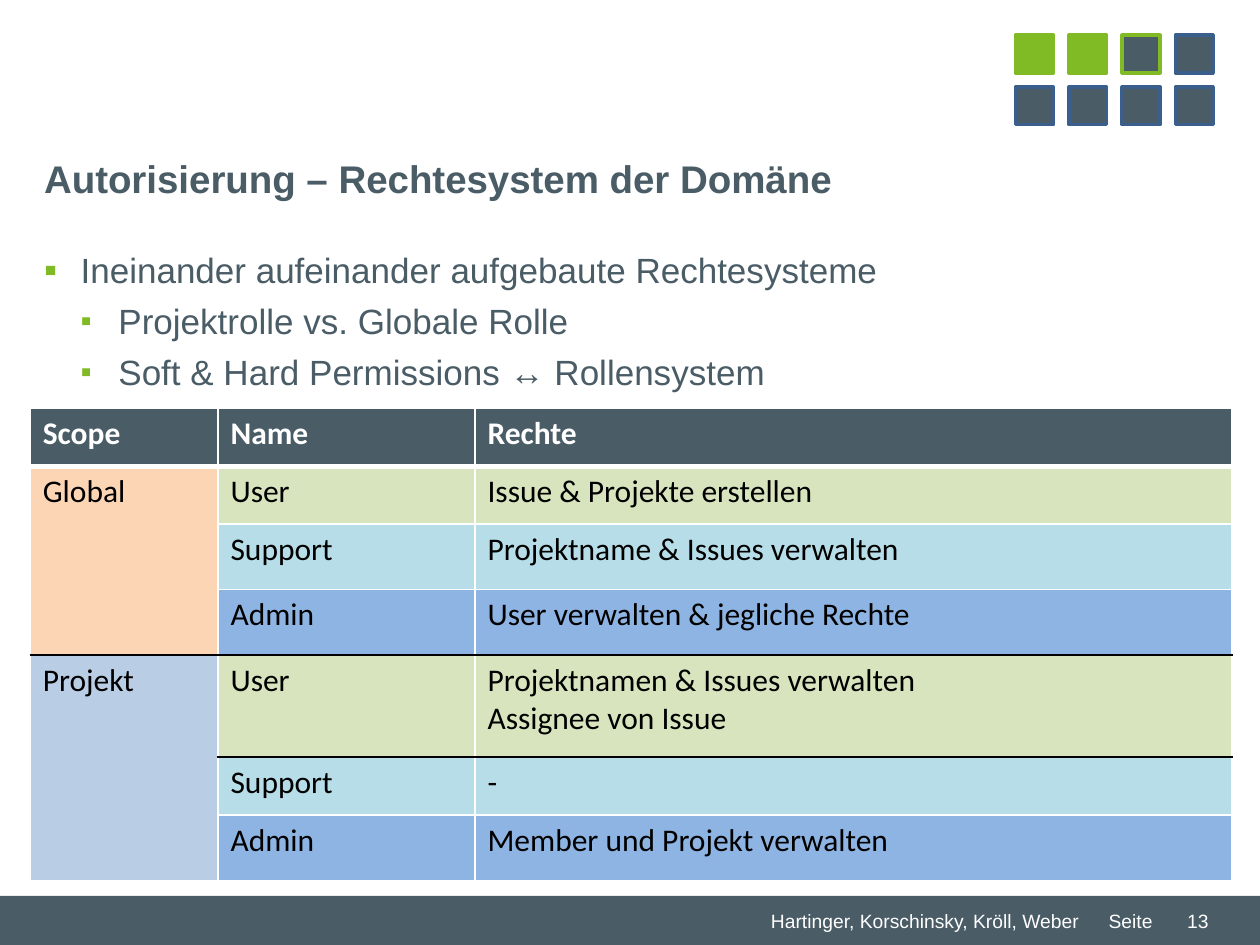
from dataclasses import dataclass
from lxml.etree import SubElement
from pptx import Presentation
from pptx.dml.color import RGBColor
from pptx.enum.shapes import MSO_SHAPE as Preset
from pptx.enum.text import MSO_ANCHOR as Anchor, MSO_AUTO_SIZE as AutoSize, PP_ALIGN as Align
from pptx.oxml.ns import qn
from pptx.util import Inches, Pt


@dataclass(frozen=True)
class Theme:
    slate: str = "4A5C66"
    green: str = "80BA24"
    blue: str = "3A5F8C"
    white: str = "FFFFFF"
    black: str = "000000"
    sans: str = "Arial"
    table_font: str = "Calibri"
    title_size: int = 22
    body_size: int = 20
    table_size: int = 18
    footer_size: int = 11


THEME = Theme()
WIDTH, HEIGHT = 10, 7.5

# Content
TITLE = "Autorisierung – Rechtesystem der Domäne"
BULLETS = [
    (0, "Ineinander aufeinander aufgebaute Rechtesysteme"),
    (1, "Projektrolle vs. Globale Rolle"),
    (1, "Soft & Hard Permissions ↔ Rollensystem"),
]
LEVELS = [dict(margin=0.29, hang=0.29, size=106), dict(margin=0.59, hang=0.3, size=90)]
FOOTER = [  # text, left, width, alignment
    ("Hartinger, Korschinsky, Kröll, Weber", 6.02, 2.68, Align.LEFT),
    ("Seite", 8.7, 0.63, Align.LEFT),
    ("13", 9.17, 0.52, Align.RIGHT),
]
HEADER = ("Scope", "Name", "Rechte")
SCOPES = [
    ("Global", "FCD5B5", [
        ("User", "Issue & Projekte erstellen"),
        ("Support", "Projektname & Issues verwalten"),
        ("Admin", "User verwalten & jegliche Rechte"),
    ]),
    ("Projekt", "B9CDE5", [
        ("User", "Projektnamen & Issues verwalten\vAssignee von Issue"),
        ("Support", "-"),
        ("Admin", "Member und Projekt verwalten"),
    ]),
]
ROLE_FILLS = {"User": "D7E4BD", "Support": "B7DEE8", "Admin": "8EB4E3"}
COLUMNS = [1.49, 2.04, 6.01]
ROWS = [0.46, 0.46, 0.52, 0.52, 0.81, 0.46, 0.52]
RULES = {(0, 0): (THEME.white, 3), (3, 0): (THEME.black, 1.5), (4, 1): (THEME.black, 1.5)}
SQUARES = [  # fill, line
    [(THEME.green, THEME.green)] * 2 + [(THEME.slate, THEME.green), (THEME.slate, THEME.blue)],
    [(THEME.slate, THEME.blue)] * 4,
]


def color(value):
    return RGBColor.from_string(value)


def assign(target, **values):
    for name, value in values.items():
        setattr(target, name, value)


def style(para, size, ink, face=THEME.sans, bold=False):
    assign(para.font, size=Pt(size), name=face, bold=bold)
    para.font.color.rgb = color(ink)


def add_box(page, left, top, width, height, **frame_format):
    box = page.shapes.add_textbox(*map(Inches, (left, top, width, height)))
    assign(box.text_frame, **frame_format)
    return box.text_frame


def add_rect(page, left, top, width, height, fill, line=None):
    rect = page.shapes.add_shape(Preset.RECTANGLE, *map(Inches, (left, top, width, height)))
    rect.shadow.inherit = False
    rect.fill.solid()
    rect.fill.fore_color.rgb = color(fill)
    if line:
        rect.line.color.rgb = color(line)
        rect.line.width = Pt(2)
    else:
        rect.line.fill.background()


def add_bullet(para, margin, hang, size):
    props = para._p.get_or_add_pPr()
    props.set("marL", str(Inches(margin)))
    props.set("indent", str(-Inches(hang)))
    tint = SubElement(props, qn("a:buClr"))
    SubElement(tint, qn("a:srgbClr"), val=THEME.green)
    SubElement(props, qn("a:buSzPct"), val=str(size * 1000))
    SubElement(props, qn("a:buFont"), typeface=THEME.sans)
    SubElement(props, qn("a:buChar"), char="▪")


def add_border(cell, side, ink, width):
    edge = SubElement(cell._tc.get_or_add_tcPr(), qn(f"a:ln{side}"), w=str(Pt(width)))
    fill = SubElement(edge, qn("a:solidFill"))
    SubElement(fill, qn("a:srgbClr"), val=ink)


def rule_below(row, column):
    """Line under a cell: white unless a rule starts at or left of its column."""
    ink, width, first = THEME.white, 1, 0
    for (rule_row, first), rule in RULES.items():
        if rule_row == row and column >= first:
            ink, width = rule
    return ink, width


def add_rights_table(page):
    records = [(HEADER, (THEME.slate,) * 3)]
    for scope, scope_fill, roles in SCOPES:
        for index, (role, rights) in enumerate(roles):
            label = "" if index else scope
            fill = ROLE_FILLS[role]
            records.append(((label, role, rights), (scope_fill, fill, fill)))
    table = page.shapes.add_table(
        len(ROWS), len(COLUMNS),
        *map(Inches, (0.24, 3.24, sum(COLUMNS), sum(ROWS)))).table
    assign(table, first_row=False, horz_banding=False)
    for column, width in zip(table.columns, COLUMNS):
        column.width = Inches(width)
    for row, height in zip(table.rows, ROWS):
        row.height = Inches(height)
    for row, (texts, fills) in enumerate(records):
        for column, (text, fill) in enumerate(zip(texts, fills)):
            cell = table.cell(row, column)
            for side in "LR":
                add_border(cell, side, THEME.white, 1)
            add_border(cell, "T", *rule_below(row - 1, column))
            add_border(cell, "B", *rule_below(row, column))
            cell.fill.solid()
            cell.fill.fore_color.rgb = color(fill)
            cell.text = text
            ink = THEME.black if row else THEME.white
            style(cell.text_frame.paragraphs[0], THEME.table_size, ink,
                  THEME.table_font, bold=row == 0)
    top = 1
    for _, _, roles in SCOPES:
        table.cell(top, 0).merge(table.cell(top + len(roles) - 1, 0))
        top += len(roles)


def main():
    deck = Presentation()
    assign(deck, slide_width=Inches(WIDTH), slide_height=Inches(HEIGHT))
    page = deck.slides.add_slide(deck.slide_layouts[5])

    # Footer band
    add_rect(page, 0, 7.11, WIDTH, HEIGHT - 7.11, THEME.slate)
    for text, left, width, alignment in FOOTER:
        frame = add_box(page, left, 7.16, width, 0.29, word_wrap=False,
                        vertical_anchor=Anchor.MIDDLE)
        frame.text = text
        frame.paragraphs[0].alignment = alignment
        style(frame.paragraphs[0], THEME.footer_size, THEME.white)

    # Title
    title = page.shapes.title
    assign(title, left=Inches(0.35), top=Inches(1.18), width=Inches(9.21), height=Inches(0.63))
    assign(title.text_frame, text=TITLE, margin_left=0, margin_right=0, word_wrap=True,
           auto_size=AutoSize.NONE, vertical_anchor=Anchor.TOP)
    title.text_frame.paragraphs[0].alignment = Align.LEFT
    style(title.text_frame.paragraphs[0], THEME.title_size, THEME.slate, bold=True)

    # Bullets
    frame = add_box(page, 0.35, 1.69, 9.16, 1.5, word_wrap=True, margin_left=0)
    for index, (level, text) in enumerate(BULLETS):
        para = frame.add_paragraph() if index else frame.paragraphs[0]
        assign(para, text=text, level=level)
        add_bullet(para, **LEVELS[level])
        if index:
            para.space_before = Pt(5)
        else:
            para.line_spacing = Pt(41)
        style(para, THEME.body_size, THEME.slate)

    add_rights_table(page)

    # Progress squares
    pitch_x, pitch_y = (9.33 - 8.06) / 3, 0.41
    for row, squares in enumerate(SQUARES):
        for column, (fill, line) in enumerate(squares):
            add_rect(page, 8.06 + column * pitch_x, 0.28 + row * pitch_y, 0.3, 0.3, fill, line)

    deck.save("out.pptx")


if __name__ == "__main__":
    main()
